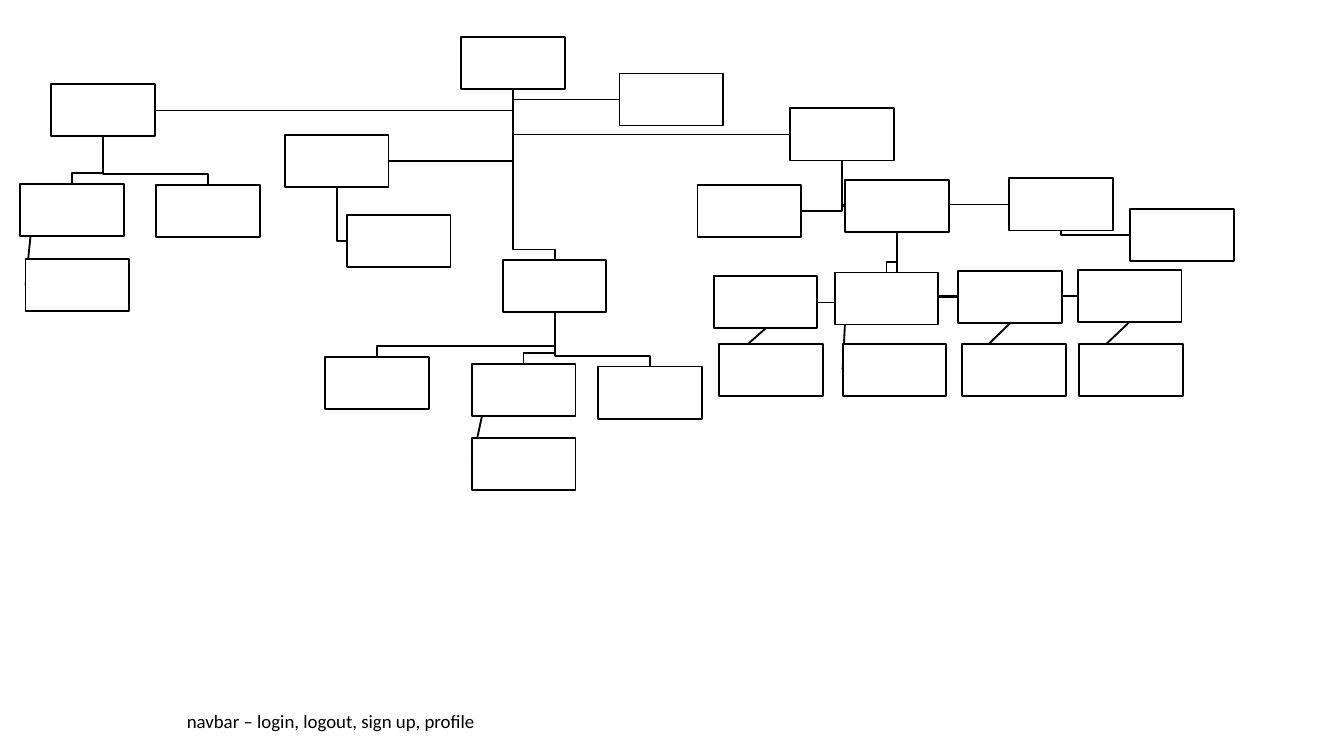
from dataclasses import dataclass

from lxml.etree import SubElement
from pptx import Presentation
from pptx.dml.color import RGBColor
from pptx.enum.shapes import MSO_CONNECTOR as Connector, MSO_SHAPE as Shape
from pptx.enum.text import MSO_AUTO_SIZE as AutoSize
from pptx.oxml.ns import qn
from pptx.util import Pt


@dataclass(frozen=True)
class Theme:
    ink: RGBColor = RGBColor(0x00, 0x00, 0x00)
    paper: RGBColor = RGBColor(0xFF, 0xFF, 0xFF)
    font: str = "Calibri"
    note_size: float = 10.1
    line_width: float = 1


THEME = Theme()
PAGE_WIDTH, PAGE_HEIGHT = 55.6, 27.9
ELBOW_GAP = 5.8  # height of the last step above a child page

# name, parent, link, left, top (relative to the site map)
# links: drop = down onto the top, side = down and into the side,
# slant = from the bottom middle, edge = from near the bottom left corner
PAGES = [
    ("root", None, None, 236.2, 0),
    ("aside", "root", "side", 321.1, 19.4),
    # Far left branch
    ("west", "root", "side", 16.6, 25.2),
    ("west first", "west", "drop", 0, 78.4),
    ("west first detail", "west first", "edge", 2.9, 118.8),
    ("west second", "west", "drop", 72.7, 79.2),
    # Inner left branch
    ("inner", "root", "side", 141.8, 52.5),
    ("inner detail", "inner", "side", 175, 95),
    # Lower branch
    ("lower", "root", "drop", 258.5, 119.5),
    ("lower first", "lower", "drop", 163.4, 171.3),
    ("lower second", "lower", "drop", 241.9, 174.9),
    ("lower second detail", "lower second", "edge", 241.9, 214.5),
    ("lower third", "lower", "drop", 309.6, 176.4),
    # Right branch
    ("east", "root", "side", 412.6, 38.1),
    ("east first", "east", "side", 362.9, 79.2),
    ("hub", "east", "side", 442.1, 76.3),
    ("hub first", "hub", "side", 371.5, 128.1),
    ("hub first detail", "hub first", "slant", 374.4, 164.1),
    ("hub second", "hub", "drop", 436.3, 126),
    ("hub second detail", "hub second", "edge", 440.6, 164.1),
    ("hub third", "hub", "side", 502.6, 125.2),
    ("hub third detail", "hub third", "slant", 504.7, 164.1),
    ("hub fourth", "hub", "side", 566.6, 124.5),
    ("hub fourth detail", "hub fourth", "slant", 567.4, 164.1),
    ("east third", "east", "side", 529.9, 75.6),
    ("east third detail", "east third", "side", 594.7, 92.1),
]


def style_line(line):
    line.color.rgb = THEME.ink
    line.width = Pt(THEME.line_width)


def add_page(slide, left, top):
    page = slide.shapes.add_shape(
        Shape.RECTANGLE, Pt(left), Pt(top), Pt(PAGE_WIDTH), Pt(PAGE_HEIGHT))
    page.shadow.inherit = False
    page.fill.solid()
    page.fill.fore_color.rgb = THEME.paper
    style_line(page.line)
    return page


def add_elbow(slide, parent, child, kind):
    start_x, start_y = parent.left + parent.width // 2, parent.top + parent.height
    child_x, child_y = child.left + child.width // 2, child.top + child.height // 2
    if kind == "drop":
        turn_y = child.top - Pt(ELBOW_GAP)
        points = [(start_x, turn_y), (child_x, turn_y), (child_x, child.top)]
    else:
        side_x = child.left if child_x > start_x else child.left + child.width
        points = [(start_x, child_y), (side_x, child_y)]
    builder = slide.shapes.build_freeform(start_x, start_y)
    builder.add_line_segments(points, close=False)
    elbow = builder.convert_to_shape()
    elbow.shadow.inherit = False
    elbow.fill.background()
    style_line(elbow.line)
    return elbow


def add_slant(slide, parent, child, kind):
    share = 0.5 if kind == "slant" else 0.1
    slant = slide.shapes.add_connector(
        Connector.STRAIGHT,
        parent.left + int(parent.width * share), parent.top + parent.height,
        child.left, child.top + child.height // 2)
    if kind == "slant":
        slant.begin_connect(parent, 2)
    slant.end_connect(child, 1)
    style_line(slant.line)
    SubElement(slant.element.spPr, qn("a:effectLst"))
    return slant


def draw_site_map(slide, left, top):
    pages = {name: add_page(slide, left + x, top + y)
             for name, _, _, x, y in PAGES}
    # Links lie behind every page
    for name, parent, kind, _, _ in PAGES:
        if parent:
            add_link = add_elbow if kind in ("drop", "side") else add_slant
            link = add_link(slide, pages[parent], pages[name], kind)
            pages["root"].element.addprevious(link.element)


def draw_note(slide, left, top, width, height, text):
    note = slide.shapes.add_textbox(Pt(left), Pt(top), Pt(width), Pt(height))
    frame = note.text_frame
    frame.word_wrap = False
    frame.auto_size = AutoSize.SHAPE_TO_FIT_TEXT
    paragraph = frame.paragraphs[0]
    paragraph.text = text
    paragraph.font.name = THEME.font
    paragraph.font.size = Pt(THEME.note_size)
    paragraph.font.color.rgb = THEME.ink


def main():
    presentation = Presentation()
    presentation.slide_width, presentation.slide_height = Pt(720), Pt(405)
    slide = presentation.slides.add_slide(presentation.slide_layouts[6])
    draw_site_map(slide, 10.8, 20)
    draw_note(slide, 93, 376.6, 174.2, 19.4,
              "navbar – login, logout, sign up, profile")
    presentation.save("out.pptx")


if __name__ == "__main__":
    main()
